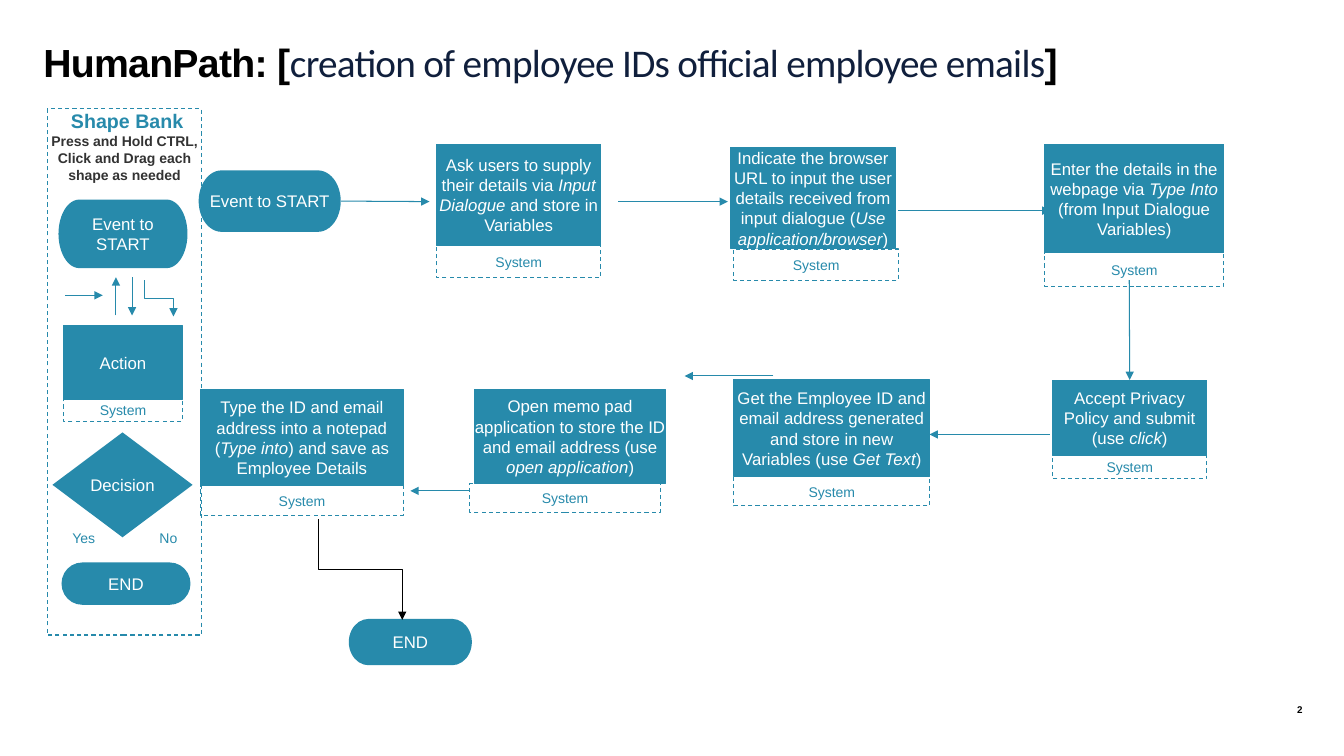
from lxml import etree
from pptx import Presentation
from pptx import util as u
from pptx.dml.color import RGBColor
from pptx.enum import dml, shapes, text
from pptx.oxml.ns import qn

TEAL = RGBColor(0x27, 0x8A, 0xAB)
WHITE = RGBColor(0xFF, 0xFF, 0xFF)
BLACK = RGBColor(0, 0, 0)
GREY = RGBColor(0x33, 0x33, 0x33)
NAVY = RGBColor(0x10, 0x1F, 0x3C)

KIND = shapes.MSO_SHAPE
PILL = KIND.FLOWCHART_TERMINATOR

STEPS = [
    (2.36, 0, 1.63, 1.01, 0.31, 0,
     "Ask users to supply their details via *Input Dialogue *and store in Variables"),
    (5.28, 0.03, 1.63, 1.01, 0.31, 0.03,
     "Indicate the browser URL to input the user details received from "
     "input dialogue (*Use application/browser*)"),
    (8.39, 0, 1.78, 1.08, 0.33, 0,
     "Enter the details in the webpage via *Type Into *(from Input Dialogue Variables)"),
    (8.47, 2.34, 1.53, 0.75, 0.23, 0,
     "Accept Privacy Policy and submit (use *click*)"),
    (5.31, 2.34, 1.94, 0.96, 0.29, 0,
     "Get the Employee ID and email address generated and store in new "
     "Variables (use *Get Text*)"),
    (2.74, 2.43, 1.89, 0.94, 0.28, -0.05,
     "Open memo pad application to store the ID and email address (use *open application*)"),
    (0.02, 2.43, 2.01, 0.96, 0.29, 0,
     "Type the ID and email address into a notepad (*Type into*) and save as Employee Details"),
]


def box(x, y, w, h):
    return [u.Inches(v) for v in (x, y, w, h)]


def frame(shape, anchor=text.MSO_ANCHOR.MIDDLE):
    tf = shape.text_frame
    tf.margin_left = tf.margin_right = tf.margin_top = tf.margin_bottom = 0
    tf.word_wrap = True
    tf.auto_size = text.MSO_AUTO_SIZE.NONE
    tf.vertical_anchor = anchor
    return tf


def put(para, words, size, color, bold=False, face="Arial"):
    run = para.add_run()
    run.text = words
    font = run.font
    font.name, font.size, font.bold = face, u.Pt(size), bold
    font.color.rgb = color
    return run


def write(shape, words, size, color):
    para = frame(shape).paragraphs[0]
    para.alignment = text.PP_ALIGN.CENTER
    for i, part in enumerate(words.split("*")):
        put(para, part, size, color).font.italic = i % 2 == 1


def solid(host, kind, x, y, w, h, words):
    shape = host.add_shape(kind, *box(x, y, w, h))
    shape.shadow.inherit = False
    shape.fill.solid()
    shape.fill.fore_color.rgb = TEAL
    shape.line.fill.background()
    if kind == KIND.RECTANGLE:
        shape.line.color.rgb = TEAL
        shape.line.width = u.Pt(0.75)
    write(shape, words, 12, WHITE)
    return shape


def dashed(host, x, y, w, h):
    shape = host.add_shape(KIND.RECTANGLE, *box(x, y, w, h))
    shape.shadow.inherit = False
    shape.fill.background()
    shape.line.color.rgb = TEAL
    shape.line.width = u.Pt(0.75)
    shape.line.dash_style = dml.MSO_LINE.DASH
    return shape


def step(slide, x, y, w, h, bar, shift, words):
    group = slide.shapes.add_group_shape().shapes
    card = solid(group, KIND.RECTANGLE, x, y, w, h, words)
    write(dashed(group, x + shift, y + h, w, bar), "System", 10, TEAL)
    return card


def arrow(slide, x1, y1, x2, y2, color=TEAL, kind=shapes.MSO_CONNECTOR.STRAIGHT):
    line = slide.shapes.add_connector(kind, *box(x1, y1, x2, y2))
    line.line.color.rgb = color
    line.line.width = u.Pt(0.75)
    props = line._element.spPr
    etree.SubElement(props.find(qn("a:ln")), qn("a:tailEnd"), type="triangle")
    etree.SubElement(props, qn("a:effectLst"))
    return line


def bend(slide, x1, y1, x2, y2, color=TEAL):
    mx, my = (x1 + x2) / 2, (y1 + y2) / 2
    dx, dy = (x2 - x1) / 2, (y2 - y1) / 2
    line = arrow(slide, mx + dy, my - dx, mx - dy, my + dx, color,
                 shapes.MSO_CONNECTOR.ELBOW)
    line._element.spPr.find(qn("a:xfrm")).set("rot", "16200000")


def label(slide, x, y, w, h, words):
    write(slide.shapes.add_textbox(*box(x, y, w, h)), words, 10, TEAL)


def head(slide, x, y, w, h):
    title = slide.shapes.title
    title.left, title.top, title.width, title.height = box(x, y, w, h)
    para = frame(title, text.MSO_ANCHOR.TOP).paragraphs[0]
    para.alignment = text.PP_ALIGN.LEFT
    para.line_spacing = 0.85
    runs = [
        put(para, "HumanPath: [", 28, BLACK, True),
        put(para, "creation of employee IDs official employee emails", 28, NAVY, False, "Calibri"),
        put(para, "]", 28, BLACK, True),
    ]
    for run in runs:
        run.font._element.set("spc", "-50")


def bank(slide, x, y, w, h):
    tf = frame(dashed(slide.shapes, x, y, w, h), text.MSO_ANCHOR.TOP)
    top, hint = tf.paragraphs[0], tf.add_paragraph()
    top.alignment = hint.alignment = text.PP_ALIGN.CENTER
    put(top, " Shape Bank", 14, TEAL, True)
    put(hint, "Press and Hold CTRL, Click and Drag each shape as needed", 10, GREY, True)

    solid(slide.shapes, PILL, x + 0.11, y + 0.9, 1.28, 0.68, "Event to START")
    arrow(slide, x + 0.18, y + 1.85, x + 0.55, y + 1.85)
    arrow(slide, x + 0.68, y + 2.05, x + 0.68, y + 1.67)
    arrow(slide, x + 0.84, y + 1.67, x + 0.84, y + 2.05)
    bend(slide, x + 0.96, y + 1.7, x + 1.25, y + 2.06)
    step(slide, x + 0.16, y + 2.15, 1.18, 0.73, 0.22, 0, "Action")
    solid(slide.shapes, KIND.DIAMOND, x + 0.05, y + 3.21, 1.39, 1.04, "Decision")
    label(slide, x + 0.06, y + 4.07, 0.6, 0.37, "Yes")
    label(slide, x + 0.9, y + 4.07, 0.6, 0.37, "No")
    solid(slide.shapes, PILL, x + 0.14, y + 4.5, 1.28, 0.42, "END")


def flow(slide, x, y):
    start = solid(slide.shapes, PILL, x, y + 0.26, 1.41, 0.61, "Event to START")
    cards = [step(slide, x + sx, y + sy, *rest) for sx, sy, *rest in STEPS]
    solid(slide.shapes, PILL, x + 1.49, y + 4.71, 1.22, 0.46, "END")

    first = arrow(slide, x + 1.41, y + 0.57, x + 2.29, y + 0.57)
    first.begin_connect(start, 3)
    down = arrow(slide, x + 9.23, y + 1.35, x + 9.23, y + 2.34)
    down.end_connect(cards[3], 0)
    for x1, x2, level in [(4.16, 5.25, 0.57), (6.94, 8.45, 0.66), (8.44, 7.25, 2.88),
                          (5.7, 4.82, 2.3), (2.69, 2.1, 3.44)]:
        arrow(slide, x + x1, y + level, x + x2, y + level)
    bend(slide, x + 1.19, y + 3.72, x + 2.02, y + 4.72, BLACK)


def foot(slide, x, y, w, h):
    para = frame(slide.shapes.add_textbox(*box(x, y, w, h))).paragraphs[0]
    para.alignment = text.PP_ALIGN.RIGHT
    put(para, "2", 7, BLACK, True)


def main():
    deck = Presentation()
    deck.slide_width, deck.slide_height = u.Inches(13.33), u.Inches(7.5)
    slide = deck.slides.add_slide(deck.slide_layouts[5])
    head(slide, 0.43, 0.45, 12.5, 1)
    bank(slide, 0.47, 1.08, 1.53, 5.22)
    flow(slide, 1.97, 1.43)
    foot(slide, 12.03, 6.97, 0.89, 0.13)
    deck.save("out.pptx")


if __name__ == "__main__":
    main()
